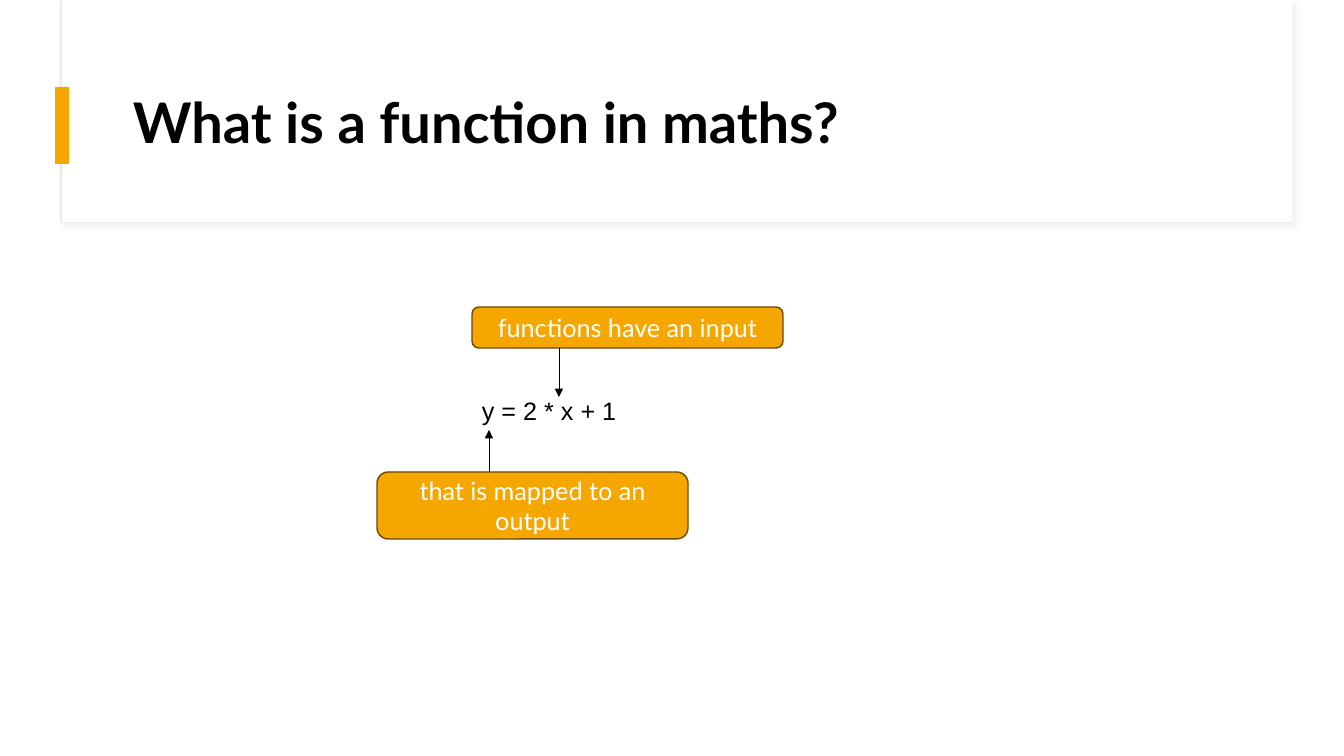
"""Build a slide that explains what a function is in maths."""
from lxml import etree
from pptx import Presentation
from pptx.dml.color import RGBColor
from pptx.enum.shapes import MSO_CONNECTOR, MSO_SHAPE
from pptx.enum.text import MSO_ANCHOR, PP_ALIGN
from pptx.oxml import parse_xml
from pptx.oxml.ns import nsdecls, qn
from pptx.util import Pt

RECT, ROUNDED = MSO_SHAPE.RECTANGLE, MSO_SHAPE.ROUNDED_RECTANGLE
STRAIGHT = MSO_CONNECTOR.STRAIGHT
TOP, MIDDLE = MSO_ANCHOR.TOP, MSO_ANCHOR.MIDDLE
LEFT, CENTER = PP_ALIGN.LEFT, PP_ALIGN.CENTER
PX = 12192000 / 1344
COLORS = {
    "white": "FFFFFF", "black": "000000", "amber": "F5A700",
    "brown": "6B4900", "border": "E9E9E9", "shadow": "D9D9D9",
}


def add_box(kind, box, fill, line=None, width=1):
    s = slide.shapes.add_shape(kind, *(round(v * PX) for v in box))
    s.shadow.inherit = False
    s.fill.solid()
    s.fill.fore_color.rgb = RGBColor.from_string(COLORS[fill])
    if line:
        s.line.color.rgb = RGBColor.from_string(COLORS[line])
        s.line.width = Pt(width)
    else:
        s.line.fill.background()
    return s


def write(s, text, size, font, color, anchor=MIDDLE, align=LEFT):
    tf = s.text_frame
    tf.word_wrap = True
    tf.vertical_anchor = anchor
    p = tf.paragraphs[0]
    p.text = text
    p.alignment = align
    p.font.size = Pt(size)
    p.font.name = font
    p.font.color.rgb = RGBColor.from_string(COLORS[color])
    return p


prs = Presentation()
prs.slide_width, prs.slide_height = round(1344 * PX), round(756 * PX)
slide = prs.slides.add_slide(prs.slide_layouts[6])

header = add_box(RECT, (61, 0, 1231, 223), "white", "border", 0.75)
effects = header._element.spPr.find(qn("a:effectLst"))
effects.append(parse_xml(
    f'<a:outerShdw {nsdecls("a")} blurRad="50800" dist="38100" dir="2700000" '
    f'algn="tl" rotWithShape="0"><a:srgbClr val="{COLORS["shadow"]}">'
    '<a:alpha val="30000"/></a:srgbClr></a:outerShdw>'))
add_box(RECT, (62, 0, 1230, 222), "white")
add_box(RECT, (55, 87, 14, 77), "amber")

title = slide.shapes.add_textbox(*(round(v * PX) for v in (123, 60, 1121, 130)))
p = write(title, "What is a function in maths?", 40, "Lato", "black")
p.font.bold = True
p.line_spacing = 0.9

formula = slide.shapes.add_textbox(*(round(v * PX) for v in (472, 390, 156, 40)))
write(formula, "y = 2 * x + 1", 18, "Arial", "black", TOP)

callouts = [
    ("functions have an input", (472, 307, 311, 41), (559, 348, 559, 397)),
    ("that is mapped to an output", (377, 472, 311, 67), (489, 472, 489, 430)),
]
for text, box, ends in callouts:
    s = add_box(ROUNDED, box, "amber", "brown")
    write(s, text, 18, "Lato", "white", align=CENTER)
    arrow = slide.shapes.add_connector(STRAIGHT, *(round(v * PX) for v in ends))
    arrow.line.color.rgb = RGBColor.from_string(COLORS["black"])
    arrow.line.width = Pt(0.5)
    etree.SubElement(arrow.line._get_or_add_ln(), qn("a:tailEnd"), type="triangle")
    etree.SubElement(arrow._element.spPr, qn("a:effectLst"))

prs.save("out.pptx")
